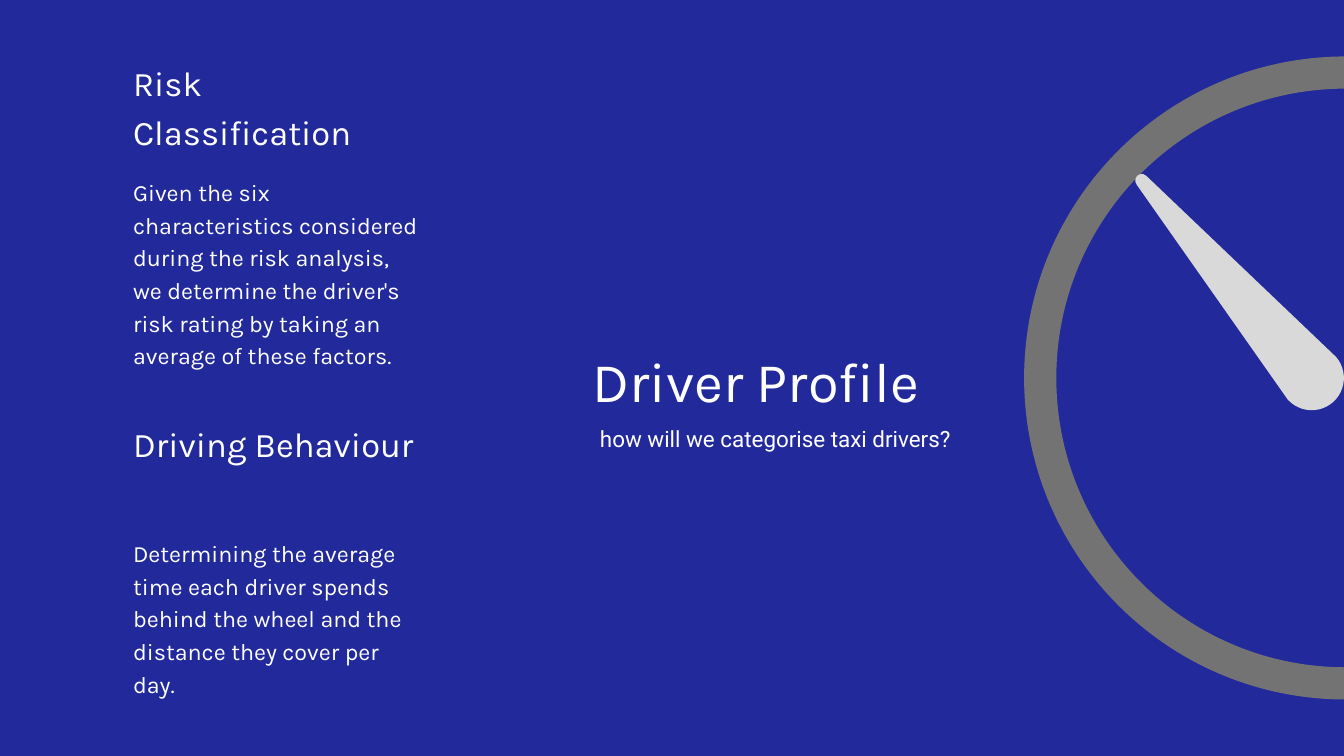
import math

from lxml import etree
from pptx import Presentation
from pptx.dml.color import RGBColor
from pptx.enum import text
from pptx.oxml import ns
from pptx.util import Pt

NAVY, WHITE, GREY, SILVER = "222A9B", "FFFFFF", "737373", "D9D9D9"
COLUMN_LEFT, COLUMN_WIDTH = 142.6, 311
HEADING = {"size": 37, "leading": 51.8}
BODY = {"size": 25, "leading": 35}

# heading, heading top, description, description top, description height
TOPICS = [
    ("Risk Classification", 59.3,
     "Given the six characteristics considered during the risk analysis, "
     "we determine the driver's risk rating by taking an average of these factors.",
     186, 205),
    ("Driving Behaviour", 445.6,
     "Determining the average time each driver spends behind the wheel "
     "and the distance they cover per day.",
     572.6, 170.5),
]


def color(value):
    return RGBColor.from_string(value)


def add_text(slide, words, left, top, width, height, size, leading,
             face="Karla", align=text.PP_ALIGN.LEFT):
    frame = slide.shapes.add_textbox(Pt(left), Pt(top), Pt(width), Pt(height)).text_frame
    frame_format = {"margin_left": 0, "margin_top": 0, "margin_right": 0,
                    "margin_bottom": 0, "word_wrap": True,
                    "auto_size": text.MSO_AUTO_SIZE.SHAPE_TO_FIT_TEXT}
    for name, value in frame_format.items():
        setattr(frame, name, value)
    line = frame.paragraphs[0]
    line.alignment = align
    line.line_spacing = Pt(leading)
    run = line.add_run()
    run.text = words
    run.font.name = face
    run.font.size = Pt(size)
    run.font.color.rgb = color(WHITE)


def arc(center_x, center_y, radius, start, end, pieces):
    """Start point, then one (handle, handle, end) curve per piece; degrees clockwise."""
    step = math.radians(end - start) / pieces
    reach = 4 / 3 * math.tan(step / 4)

    def place(angle, along=0):
        x = math.cos(angle) - along * math.sin(angle)
        y = math.sin(angle) + along * math.cos(angle)
        return Pt(center_x + radius * x), Pt(center_y + radius * y)

    angles = [math.radians(start) + step * i for i in range(pieces + 1)]
    curves = [(place(a, reach), place(b, -reach), place(b))
              for a, b in zip(angles, angles[1:])]
    return [(place(angles[0]),)] + curves


def add_outline(slide, segments, fill):
    anchors = [segment[-1] for segment in segments]
    builder = slide.shapes.build_freeform(*anchors[0])
    builder.add_line_segments(anchors[1:], close=True)
    outline = builder.convert_to_shape()
    # Turn the arc segments into curves
    lines = list(outline._element.iter(ns.qn("a:lnTo")))
    for line, segment in zip(lines, segments[1:]):
        if len(segment) == 3:
            curve = etree.Element(ns.qn("a:cubicBezTo"))
            for x, y in segment:
                etree.SubElement(curve, ns.qn("a:pt"),
                                 x=str(x - outline.left), y=str(y - outline.top))
            line.getparent().replace(line, curve)
    outline.shadow.inherit = False
    outline.fill.solid()
    outline.fill.fore_color.rgb = color(fill)
    outline.line.fill.background()


def add_dial(slide):
    # Left half of the ring, cut by the slide's right edge
    ring = arc(1441.8, 405, 344.5, 90.3, 269.7, 2) + arc(1441.8, 405, 310, 269.7, 90.3, 2)
    add_outline(slide, ring, GREY)
    # Needle: round hub tapering to a small round tip
    needle = arc(1405.4, 405, 34.5, -41, 138, 3) + arc(1223.3, 193.4, 7, 141, 314, 3)
    add_outline(slide, needle, SILVER)


def main():
    deck = Presentation()
    deck.slide_width, deck.slide_height = Pt(1440), Pt(810)
    slide = deck.slides.add_slide(deck.slide_layouts[6])
    slide.background.fill.solid()
    slide.background.fill.fore_color.rgb = color(NAVY)

    # Title and question
    add_text(slide, "Driver Profile", 635, 359.5, 392, 81, size=60, leading=84)
    add_text(slide, "how will we categorise taxi drivers?", 625.8, 450.7, 409.7, 31,
             size=24, leading=33.6, face="Roboto", align=text.PP_ALIGN.CENTER)

    # Left column
    for heading, heading_top, description, top, height in TOPICS:
        add_text(slide, heading, COLUMN_LEFT, heading_top, COLUMN_WIDTH, 101, **HEADING)
        add_text(slide, description, COLUMN_LEFT, top, COLUMN_WIDTH, height, **BODY)

    add_dial(slide)
    deck.save("out.pptx")


if __name__ == "__main__":
    main()
